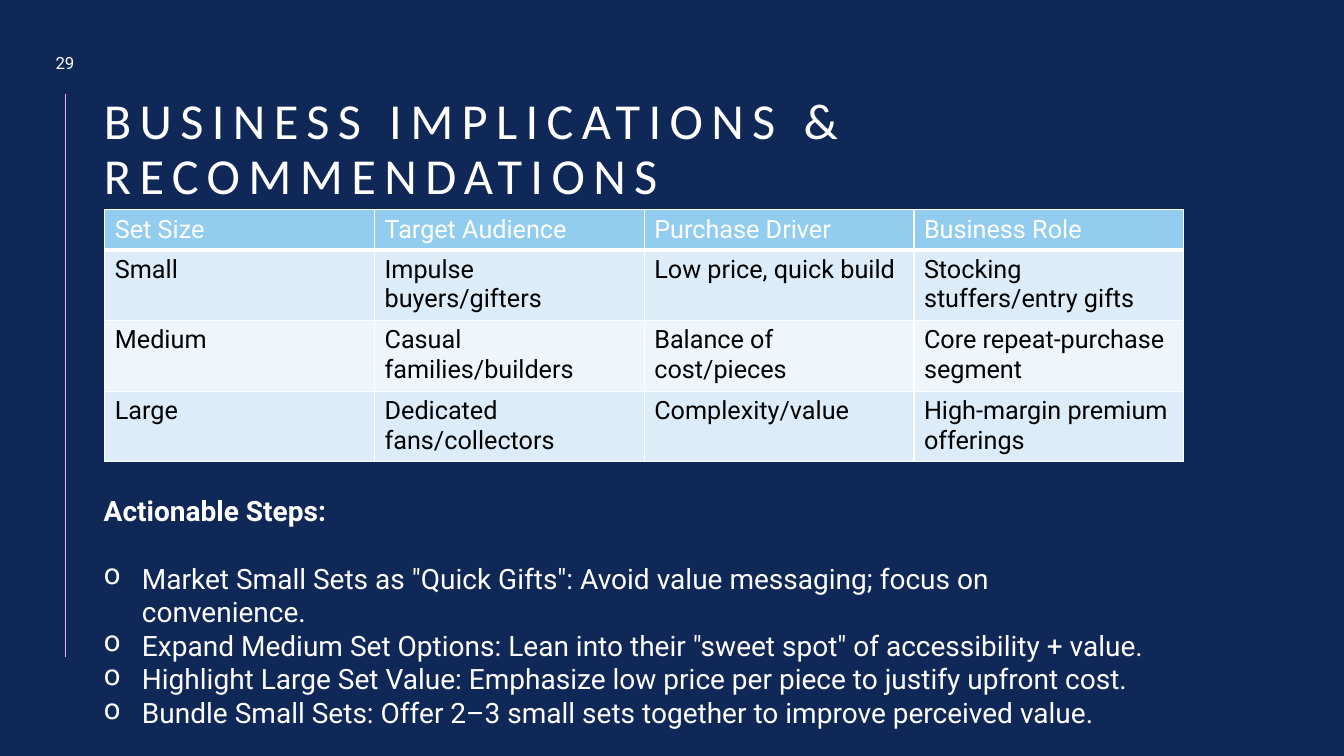
import pptx
import pptx.dml.color
import pptx.enum.shapes
import pptx.enum.text
import pptx.oxml
import pptx.oxml.ns
import pptx.util
from pptx.util import Inches

RGBColor = pptx.dml.color.RGBColor
NAVY = RGBColor(0x10, 0x28, 0x57)
WHITE = RGBColor(0xFF, 0xFF, 0xFF)
BLACK = RGBColor(0x00, 0x00, 0x00)
PINK = RGBColor(0xF6, 0xA6, 0xF4)
HEADER_BLUE = RGBColor(0x92, 0xCD, 0xF0)
BANDS = (RGBColor(0xEE, 0xF6, 0xFC), RGBColor(0xDC, 0xED, 0xF9))

TITLE_ONLY = 5
MIDDLE = pptx.enum.text.MSO_ANCHOR.MIDDLE
ALIGN = pptx.enum.text.PP_ALIGN

AUDIENCES = [
    ("Set Size", "Target Audience", "Purchase Driver", "Business Role"),
    ("Small", "Impulse buyers/gifters", "Low price, quick build", "Stocking stuffers/entry gifts"),
    ("Medium", "Casual families/builders", "Balance of cost/pieces", "Core repeat-purchase segment"),
    ("Large", "Dedicated fans/collectors", "Complexity/value", "High-margin premium offerings"),
]
STEPS = [
    'Market Small Sets as "Quick Gifts": Avoid value messaging; focus on convenience.',
    'Expand Medium Set Options: Lean into their "sweet spot" of accessibility + value.',
    "Highlight Large Set Value: Emphasize low price per piece to justify upfront cost.",
    "Bundle Small Sets: Offer 2–3 small sets together to improve perceived value.",
]


def style(para, size, color=WHITE, name="Roboto", bold=False):
    para.font.size = pptx.util.Pt(size)
    para.font.name = name
    para.font.color.rgb = color
    para.font.bold = bold


def add_side_line(page):
    line = page.shapes.add_connector(
        pptx.enum.shapes.MSO_CONNECTOR.STRAIGHT,
        Inches(0.65), Inches(0.93), Inches(0.65), Inches(6.52))
    line.line.color.rgb = PINK
    line.line.width = pptx.util.Pt(0.5)
    properties = line._element.spPr
    properties.append(pptx.oxml.parse_xml(f"<a:effectLst {pptx.oxml.ns.nsdecls('a')}/>"))


def set_title(page, text):
    title = page.shapes.title
    title.left, title.top = Inches(0.93), Inches(0.91)
    title.width, title.height = Inches(11.9), Inches(1.17)
    frame = title.text_frame
    frame.text = text
    frame.auto_size = pptx.enum.text.MSO_AUTO_SIZE.NONE
    frame.vertical_anchor = MIDDLE
    para = frame.paragraphs[0]
    para.alignment = ALIGN.LEFT
    para.line_spacing = 0.9
    style(para, 36, name="Calibri")
    para.runs[0]._r.get_or_add_rPr().set("spc", "600")


def add_text_box(page, left, top, width, height):
    box = page.shapes.add_textbox(Inches(left), Inches(top), Inches(width), Inches(height))
    box.text_frame.word_wrap = True
    return box.text_frame


def add_page_number(page, number):
    frame = add_text_box(page, 0.36, 0.45, 0.57, 0.34)
    frame.vertical_anchor = MIDDLE
    para = frame.paragraphs[0]
    para.text = number
    para.alignment = ALIGN.CENTER
    style(para, 12)


def set_borders(cell, top, bottom):
    for side, points in (("L", 1), ("R", 1), ("T", top), ("B", bottom)):
        cell._tc.get_or_add_tcPr().append(pptx.oxml.parse_xml(
            f'<a:ln{side} {pptx.oxml.ns.nsdecls("a")} w="{pptx.util.Pt(points)}">'
            f'<a:solidFill><a:srgbClr val="{WHITE}"/></a:solidFill></a:ln{side}>'))


def add_audience_table(page, rows):
    table = page.shapes.add_table(
        len(rows), len(rows[0]), Inches(1.04), Inches(2.08), Inches(10.7), Inches(2.47)).table
    table.first_row = False
    table.horz_banding = False
    for row_index, texts in enumerate(rows):
        header = row_index == 0
        table.rows[row_index].height = Inches(0.4 if header else 0.69)
        for column_index, text in enumerate(texts):
            cell = table.cell(row_index, column_index)
            cell.text = text
            style(cell.text_frame.paragraphs[0], 18, WHITE if header else BLACK)
            set_borders(cell, 3 if row_index == 1 else 1, 3 if header else 1)
            cell.fill.solid()
            cell.fill.fore_color.rgb = HEADER_BLUE if header else BANDS[row_index % 2]


def add_bullet(para):
    properties = para._p.get_or_add_pPr()
    properties.set("marL", str(Inches(0.38)))
    properties.set("indent", str(-Inches(0.38)))
    properties.append(pptx.oxml.parse_xml(
        f'<a:buChar {pptx.oxml.ns.nsdecls("a")} char="o"/>'))


def add_steps(page, heading, steps):
    frame = add_text_box(page, 0.93, 4.85, 10.54, 2.42)
    para = frame.paragraphs[0]
    para.text = heading
    para.space_after = pptx.util.Pt(24)
    style(para, 20, bold=True)
    for step in steps:
        para = frame.add_paragraph()
        para.text = step
        add_bullet(para)
        style(para, 20)


def main():
    deck = pptx.Presentation()
    deck.slide_width, deck.slide_height = Inches(13.33), Inches(7.5)
    page = deck.slides.add_slide(deck.slide_layouts[TITLE_ONLY])
    page.background.fill.solid()
    page.background.fill.fore_color.rgb = NAVY
    add_side_line(page)
    set_title(page, "BUSINESS IMPLICATIONS & RECOMMENDATIONS")
    add_page_number(page, "29")
    add_audience_table(page, AUDIENCES)
    add_steps(page, "Actionable Steps:", STEPS)
    deck.save("out.pptx")


if __name__ == "__main__":
    main()
